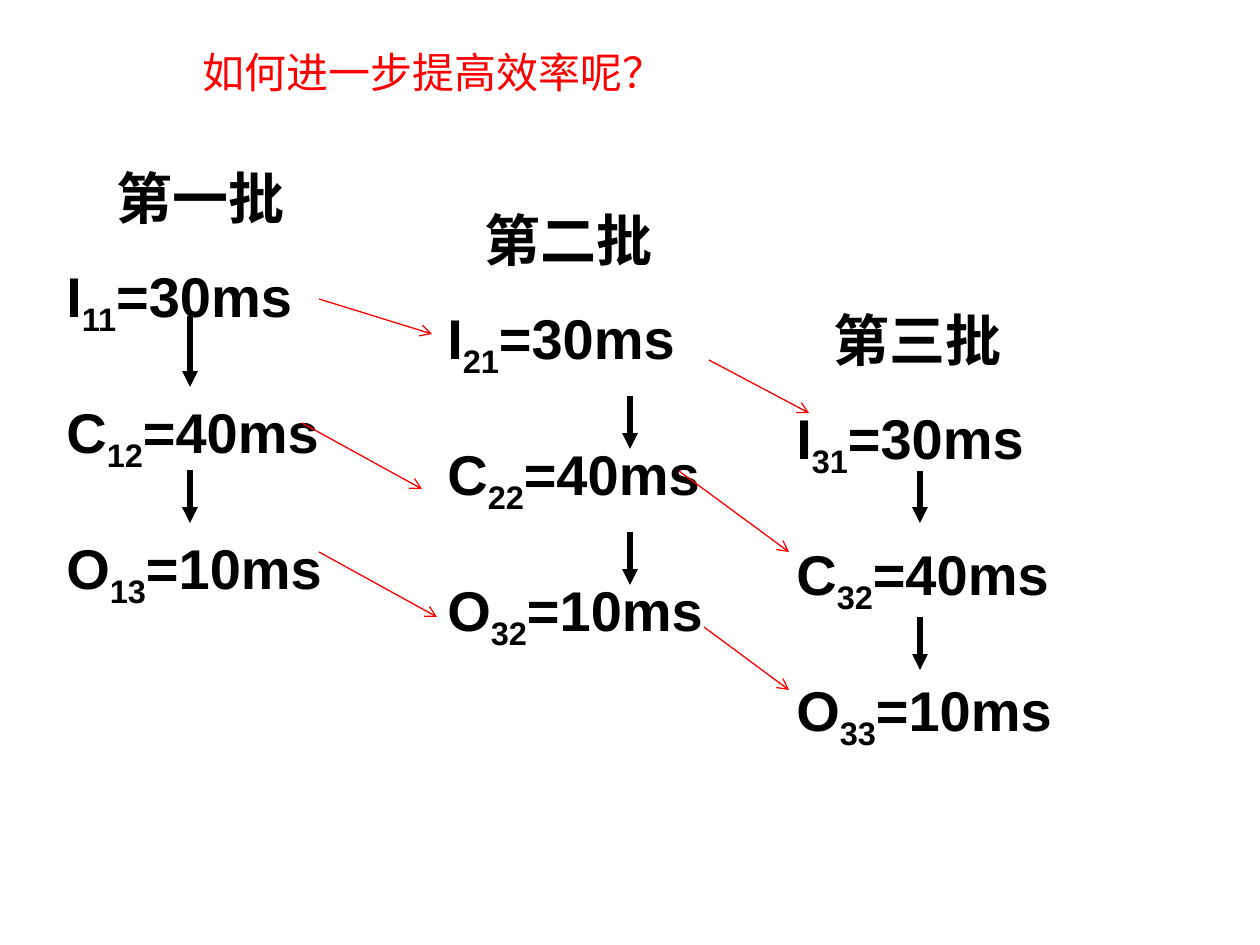
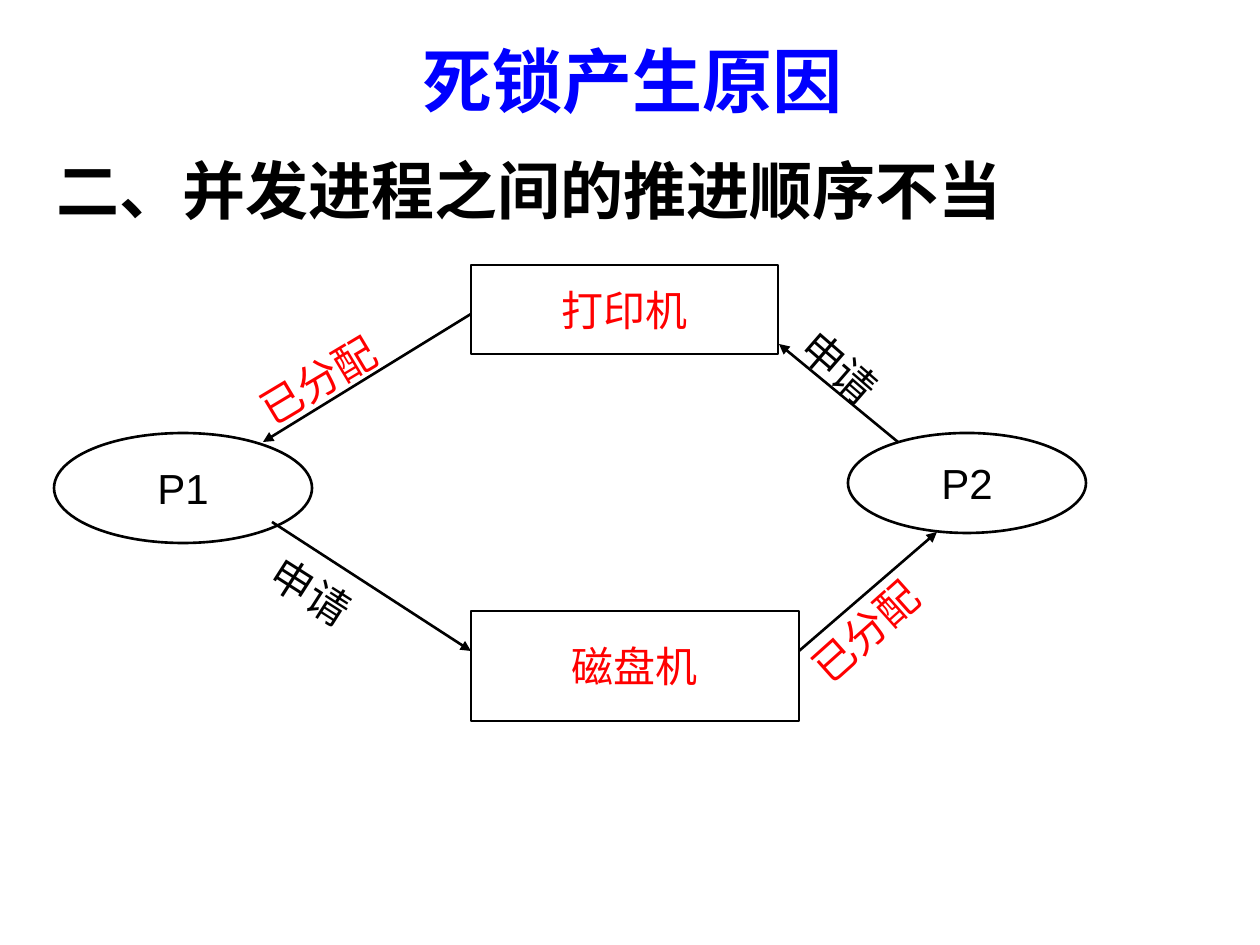
from lxml.etree import SubElement
from pptx import Presentation
from pptx.dml.color import RGBColor
from pptx.enum.shapes import MSO_CONNECTOR as Connector, MSO_SHAPE as Preset
from pptx.enum.text import MSO_ANCHOR as Anchor, MSO_AUTO_SIZE as AutoSize, PP_ALIGN as Align
from pptx.oxml.ns import qn
from pptx.util import Emu, Pt

BLACK = RGBColor(0, 0, 0)
RED = RGBColor(255, 0, 0)
BLUE = RGBColor(0, 0, 255)
HEADING_FONT = "Times New Roman"
PX_PER_INCH = 126


def px(length):
    return Emu(round(length * 914400 / PX_PER_INCH))


def write_paragraph(paragraph, text, size=24, color=BLACK, font="Arial", bold=False,
                    align=Align.LEFT, space_before=0, indent=0):
    """Write text whose parts between bars, as in "I|11|=30ms", are subscripts."""
    paragraph.alignment = align
    if space_before:
        paragraph.space_before = Pt(space_before)
    if indent:
        paragraph._p.get_or_add_pPr().set("marL", str(px(indent)))
    for index, part in enumerate(text.split("|")):
        run = paragraph.add_run()
        run.text = part
        run.font.size = Pt(size)
        run.font.name = font
        run.font.bold = bold
        run.font.color.rgb = color
        if index % 2:
            run.font._element.set("baseline", "-25000")


def add_text_box(slide, box, text, anchor=Anchor.TOP, grow=False, rotation=0, **text_format):
    shape = slide.shapes.add_textbox(*map(px, box))
    shape.rotation = rotation
    frame = shape.text_frame
    frame.word_wrap = True
    frame.vertical_anchor = anchor
    frame.auto_size = AutoSize.SHAPE_TO_FIT_TEXT if grow else AutoSize.NONE
    write_paragraph(frame.paragraphs[0], text, **text_format)
    return frame


def add_arrow(slide, start, end, color=BLACK, width=1.5, head="triangle"):
    arrow = slide.shapes.add_connector(Connector.STRAIGHT, *map(px, start + end))
    arrow.line.color.rgb = color
    arrow.line.width = Pt(width)
    SubElement(arrow.line._get_or_add_ln(), qn("a:tailEnd"), type=head)
    SubElement(arrow._element.spPr, qn("a:effectLst"))


def add_node(slide, preset, box, text, color):
    node = slide.shapes.add_shape(preset, *map(px, box))
    node.shadow.inherit = False
    node.fill.background()
    node.line.color.rgb = BLACK
    node.line.width = Pt(1.5)
    node.text_frame.word_wrap = False
    node.text_frame.vertical_anchor = Anchor.MIDDLE
    write_paragraph(node.text_frame.paragraphs[0], text, color=color, align=Align.CENTER)


def add_batch(slide, left, top, heading, heading_indent, steps, arrow_x, arrow_spans):
    """Place one batch; arrow positions count from its left and top."""
    frame = add_text_box(slide, (left, top, 391, 445), heading, size=32, bold=True,
                         indent=heading_indent)
    for index, step in enumerate(steps):
        write_paragraph(frame.add_paragraph(), step, size=32, bold=True,
                        space_before=34 if index else 18)
    for start, end in arrow_spans:
        add_arrow(slide, (left + arrow_x, top + start), (left + arrow_x, top + end), width=3)


def build_batches_slide(slide):
    add_batch(slide, 54, 157, "第一批", 50, ("I|11|=30ms", "C|12|=40ms", "O|13|=10ms"),
              136, ((159, 230), (313, 366)))
    add_batch(slide, 435, 199, "第二批", 37, ("I|21|=30ms", "C|22|=40ms", "O|32|=10ms"),
              195, ((197, 250), (333, 386)))
    add_batch(slide, 784, 299, "第三批", 37, ("I|31|=30ms", "C|32|=40ms", "O|33|=10ms"),
              136, ((172, 224), (318, 371)))
    add_text_box(slide, (190, 40, 879, 76), "如何进一步提高效率呢？", grow=True,
                 color=RED, font="Karla")
    handovers = (
        ((319, 299), (432, 334)), ((302, 423), (422, 489)), ((319, 552), (437, 617)),
        ((709, 360), (809, 413)), ((679, 471), (789, 552)), ((704, 627), (789, 690)),
    )
    for start, end in handovers:
        add_arrow(slide, start, end, color=RED, width=0.75, head="arrow")


def add_resource_graph(slide, left, top):
    """Draw the cycle of processes and resources from its top left corner."""
    nodes = (
        (Preset.RECTANGLE, (417, 0, 307, 89), "打印机", RED),
        (Preset.RECTANGLE, (417, 346, 328, 110), "磁盘机", RED),
        (Preset.OVAL, (0, 168, 258, 110), "P1", BLACK),
        (Preset.OVAL, (794, 168, 238, 100), "P2", BLACK),
    )
    for preset, (x, y, width, height), text, color in nodes:
        add_node(slide, preset, (left + x, top + y, width, height), text, color)

    edges = (
        ((417, 49), (209, 177)), ((218, 257), (417, 386)),
        ((745, 386), (883, 267)), ((844, 177), (725, 79)),
    )
    for edge in edges:
        start, end = ((left + x, top + y) for x, y in edge)
        add_arrow(slide, start, end)

    labels = (
        (182, 69, 208, 329.1, "已分配", RED), (725, 317, 208, 318.2, "已分配", RED),
        (199, 317, 189, 32.5, "申请", BLACK), (725, 98, 189, 41, "申请", BLACK),
    )
    for x, y, width, rotation, text, color in labels:
        add_text_box(slide, (left + x, top + y, width, 53), text, grow=True,
                     rotation=rotation, color=color)


def build_deadlock_slide(slide):
    add_text_box(slide, (44, 35, 1177, 89), "死锁产生原因", anchor=Anchor.MIDDLE, size=40,
                 color=BLUE, font=HEADING_FONT, bold=True, align=Align.CENTER)
    add_text_box(slide, (44, 145, 1101, 90), "二、并发进程之间的推进顺序不当", size=36,
                 font=HEADING_FONT, bold=True)
    add_resource_graph(slide, 54, 265)


def main():
    presentation = Presentation()
    presentation.slide_width = px(1260)
    presentation.slide_height = px(945)
    for build in (build_batches_slide, build_deadlock_slide):
        build(presentation.slides.add_slide(presentation.slide_layouts[6]))
    presentation.save("out.pptx")


if __name__ == "__main__":
    main()
